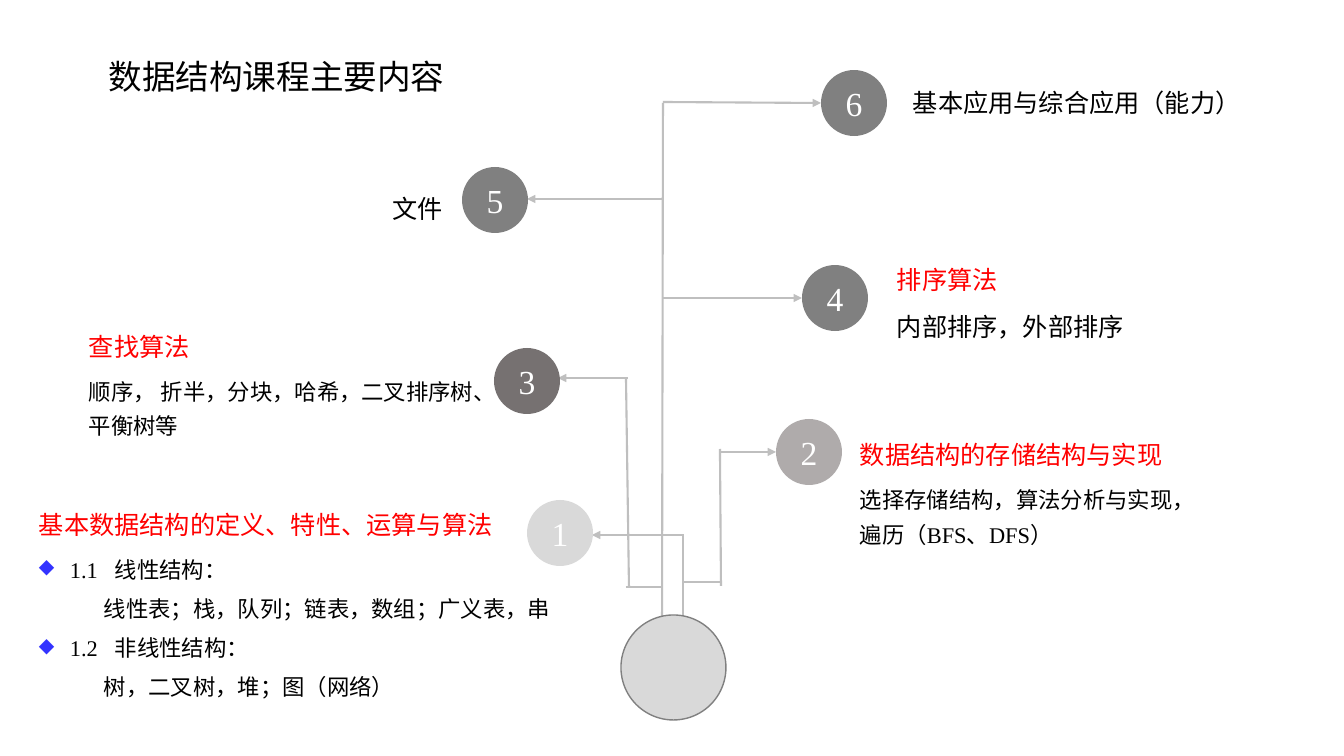
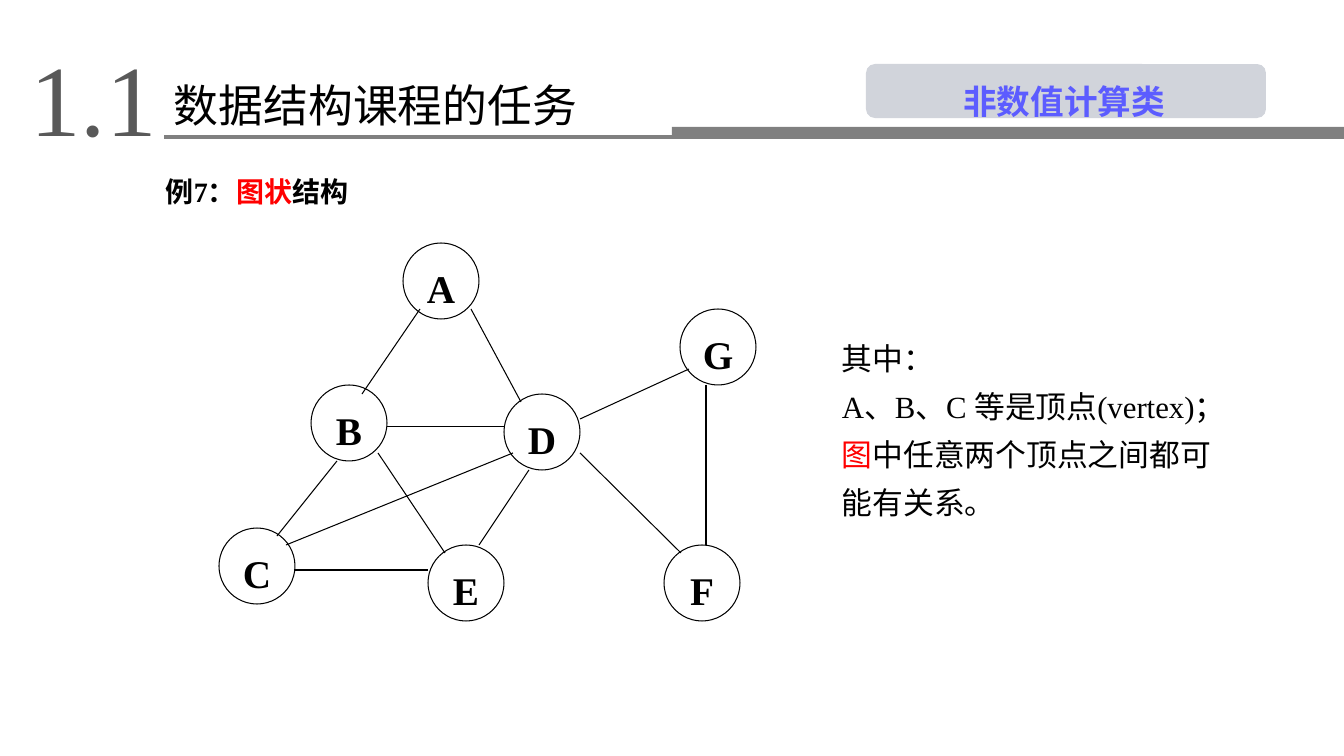
from lxml import etree
from pptx import Presentation
from pptx import util as u
from pptx.dml import color
from pptx.enum import shapes, text
from pptx.oxml import ns

PX = 914400 / 100.8
FONT = "Times New Roman"
COLORS = {
    "ink": "000000", "white": "FFFFFF", "red": "FF0000", "bullet": "3333FF",
    "branch": "BFBFBF", "gray": "808080", "dark": "767171", "middle": "AFABAB",
    "pale": "D9D9D9", "number": "595959", "tag": "D1D4DB", "violet": "5C5CFF",
}
ALIGN = {
    "left": text.PP_ALIGN.LEFT,
    "center": text.PP_ALIGN.CENTER,
    "right": text.PP_ALIGN.RIGHT,
}
OVAL = shapes.MSO_SHAPE.OVAL
RECTANGLE = shapes.MSO_SHAPE.RECTANGLE
ROUNDED = shapes.MSO_SHAPE.ROUNDED_RECTANGLE


def emu(length):
    return u.Emu(round(length * PX))


def rgb(name):
    return color.RGBColor.from_string(COLORS[name])


def child(parent, tag, **attributes):
    node = etree.SubElement(parent, ns.qn(tag))
    for key, value in attributes.items():
        node.set(key, str(value))
    return node


def format_edges(para, indent, bullet, tab):
    props = para._p.get_or_add_pPr()
    if indent:
        props.set("marL", str(emu(indent)))
        props.set("indent", str(-emu(indent) if bullet else 0))
    if bullet:
        shade = child(props, "a:buClr")
        child(shade, "a:srgbClr", val=COLORS["bullet"])
        child(props, "a:buSzPct", val=90000)
        child(props, "a:buChar", char=bullet)
    if tab:
        stops = child(props, "a:tabLst")
        child(stops, "a:tab", pos=emu(tab), algn="l")


def write(para, words, size=18, ink="ink", bold=False, align="left", leading=1.0,
          after=0, indent=0, bullet=None, tab=0):
    para.alignment = ALIGN[align]
    para.line_spacing = leading
    para.space_after = u.Pt(after)
    format_edges(para, indent, bullet, tab)
    spans = [(words, ink)] if isinstance(words, str) else words
    for content, shade in spans:
        span = para.add_run()
        span.text = content
        span.font.name = FONT
        span.font.size = u.Pt(size)
        span.font.bold = bold
        span.font.color.rgb = rgb(shade)


def add_text(page, box, *paragraphs, **shared):
    frame = page.shapes.add_textbox(*map(emu, box)).text_frame
    frame.word_wrap = True
    for index, (words, own) in enumerate(paragraphs):
        para = frame.add_paragraph() if index else frame.paragraphs[0]
        write(para, words, **{**shared, **own})


def add_figure(page, kind, box, fill=None, line=None, width=1, label=None, **style):
    figure = page.shapes.add_shape(kind, *map(emu, box))
    figure.shadow.inherit = False
    if fill:
        figure.fill.solid()
        figure.fill.fore_color.rgb = rgb(fill)
    else:
        figure.fill.background()
    if line:
        figure.line.color.rgb = rgb(line)
        figure.line.width = u.Pt(width)
    else:
        figure.line.fill.background()
    if label:
        frame = figure.text_frame
        frame.word_wrap = False
        frame.vertical_anchor = text.MSO_ANCHOR.MIDDLE
        write(frame.paragraphs[0], label, align="center", **style)
    return figure


def add_line(page, start, end, ink, width, arrow=False):
    line = page.shapes.add_connector(
        shapes.MSO_CONNECTOR.STRAIGHT, *map(emu, (*start, *end)))
    line.line.color.rgb = rgb(ink)
    line.line.width = u.Pt(width)
    if arrow:
        child(line.line._get_or_add_ln(), "a:tailEnd", type="triangle")
    child(line._element.spPr, "a:effectLst")


def topic_tree(page, left, top):
    def at(x, y):
        return left + x, top + y

    branches = [
        (190, 556, 190, 465, False), (191, 465, 99, 465, True),
        (190, 512, 227, 512, False), (228, 516, 227, 379, False),
        (227, 382, 283, 382, True), (170, 228, 309, 228, True),
        (133, 517, 170, 517, False), (136, 516, 133, 308, False),
        (135, 308, 65, 308, True), (170, 33, 169, 582, False),
        (169, 129, 34, 129, True), (170, 32, 328, 33, True),
    ]
    for x1, y1, x2, y2, arrow in branches:
        add_line(page, at(x1, y1), at(x2, y2), "branch", 1.5, arrow)
    add_figure(page, OVAL, (*at(128, 545), 105, 105), "pale", "gray")
    topics = [
        (34, 430, "pale"), (283, 349, "middle"), (1, 278, "dark"),
        (309, 195, "gray"), (-31, 97, "gray"), (328, 0, "gray"),
    ]
    for number, (x, y, fill) in enumerate(topics, 1):
        add_figure(page, OVAL, (*at(x, y), 66, 66), fill,
                   label=str(number), size=24, ink="white")


def topic_text(page, box, heading, *details, size=16):
    add_text(page, box, (heading, dict(size=18, ink="red", after=6)),
             *details, size=size, leading=1.3)


def build_outline(page):
    add_text(page, (75, 51, 403, 50), ("数据结构课程主要内容", {}),
             size=24, align="center")
    topic_tree(page, 493, 70)
    item = dict(indent=31, bullet="◆", tab=76, after=3)
    detail = dict(indent=65, after=3)
    topic_text(page, (29, 495, 561, 240), "基本数据结构的定义、特性、运算与算法",
               ("1.1\t线性结构：", item),
               ("线性表；栈，队列；链表，数组；广义表，串", detail),
               ("1.2\t非线性结构：", item),
               ("树，二叉树，堆；图（网络）", detail))
    topic_text(page, (79, 317, 446, 125), "查找算法",
               ("顺序， 折半，分块，哈希，二叉排序树、", {}), ("平衡树等", {}))
    topic_text(page, (887, 250, 416, 94), "排序算法",
               ("内部排序，外部排序", {}), size=18)
    topic_text(page, (850, 425, 361, 164), "数据结构的存储结构与实现",
               ("选择存储结构，算法分析与实现，遍历（BFS、DFS）", {}))
    add_text(page, (360, 173, 93, 50), ("文件", {}), align="right", leading=1.5)
    add_text(page, (903, 82, 400, 40), ("基本应用与综合应用（能力）", {}))


def section_header(page, left, top, number, title, tag):
    add_text(page, (left + 4, top, 179, 132), (number, {}),
             size=72, ink="number", align="center")
    add_figure(page, RECTANGLE, (left + 672, top + 96, 672, 12), "gray")
    add_figure(page, RECTANGLE, (left + 164, top + 104, 508, 4), "gray")
    add_text(page, (left + 164, top + 42, 442, 64), (title, {}), size=32)
    add_figure(page, ROUNDED, (left + 866, top + 33, 400, 54), "tag")
    add_text(page, (left + 875, top + 33, 378, 57), (tag, {}),
             size=24, ink="violet", bold=True, align="center", leading=1.3)


def vertex_graph(page, left, top):
    vertices = {
        "A": (184, 0), "B": (92, 142), "C": (0, 285), "D": (285, 151),
        "E": (209, 302), "F": (445, 302), "G": (461, 66),
    }
    edges = [
        (201, 66, 143, 151), (118, 218, 58, 293), (252, 66, 302, 159),
        (310, 227, 260, 302), (75, 327, 209, 327), (159, 210, 226, 310),
        (168, 184, 285, 184), (361, 176, 470, 126), (487, 142, 487, 302),
        (361, 210, 462, 310), (67, 302, 294, 210),
    ]
    for name, (x, y) in vertices.items():
        add_figure(page, OVAL, (left + x, top + y, 76, 76), line="ink", width=0.75,
                   label=name, size=28, bold=True, leading=1.3)
    for x1, y1, x2, y2 in edges:
        add_line(page, (left + x1, top + y1), (left + x2, top + y2), "ink", 0.75)


def build_graph(page):
    section_header(page, 0, 31, "1.1", "数据结构课程的任务", "非数值计算类")
    add_text(page, (156, 159, 293, 50),
             ([("例7：", "ink"), ("图状", "red"), ("结构", "ink")], {}),
             size=20, bold=True, leading=1.3)
    vertex_graph(page, 219, 243)
    add_text(page, (832, 324, 418, 200),
             ("其中：", {}),
             ("A、B、C 等是顶点(vertex)；", {}),
             ([("图", "red"), ("中任意两个顶点之间都可能有关系。", "ink")], {}),
             size=22, leading=1.3)


def main():
    deck = Presentation()
    deck.slide_width, deck.slide_height = emu(1344), emu(756)
    for build in (build_outline, build_graph):
        build(deck.slides.add_slide(deck.slide_layouts[6]))
    deck.save("out.pptx")


if __name__ == "__main__":
    main()
